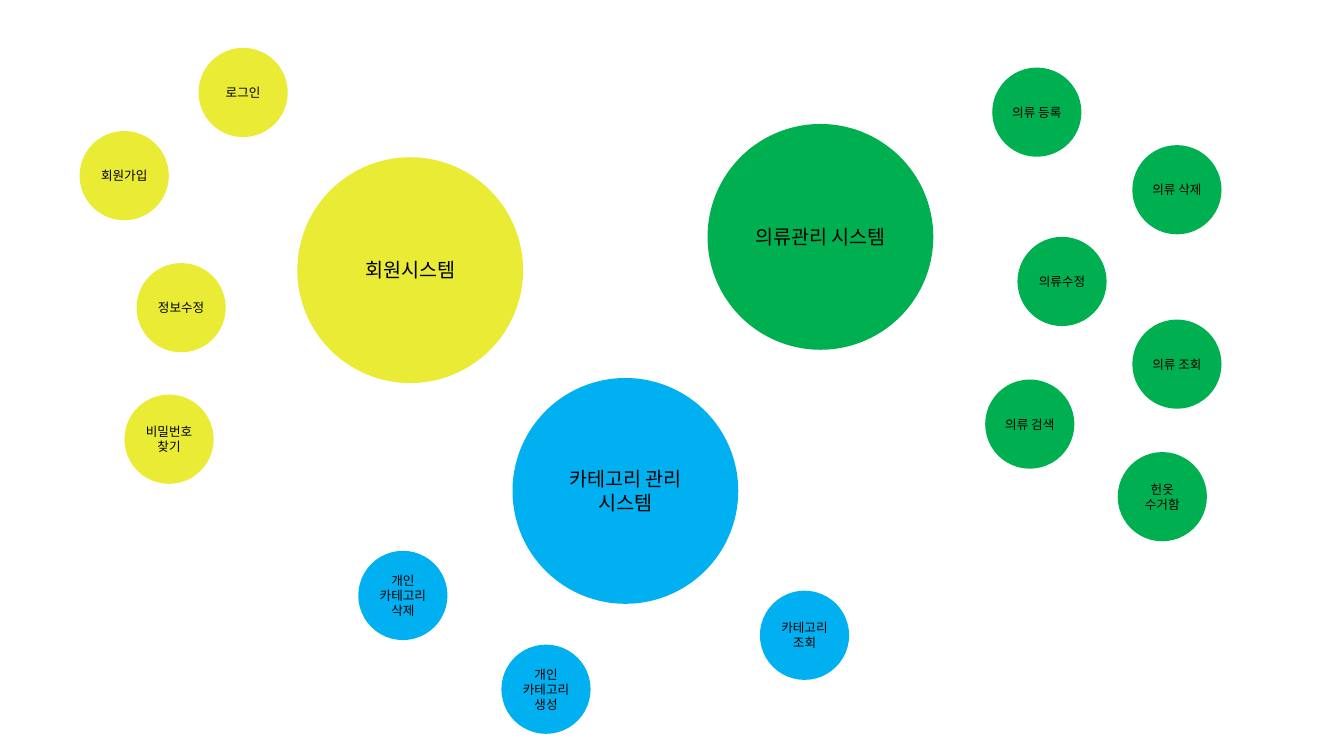
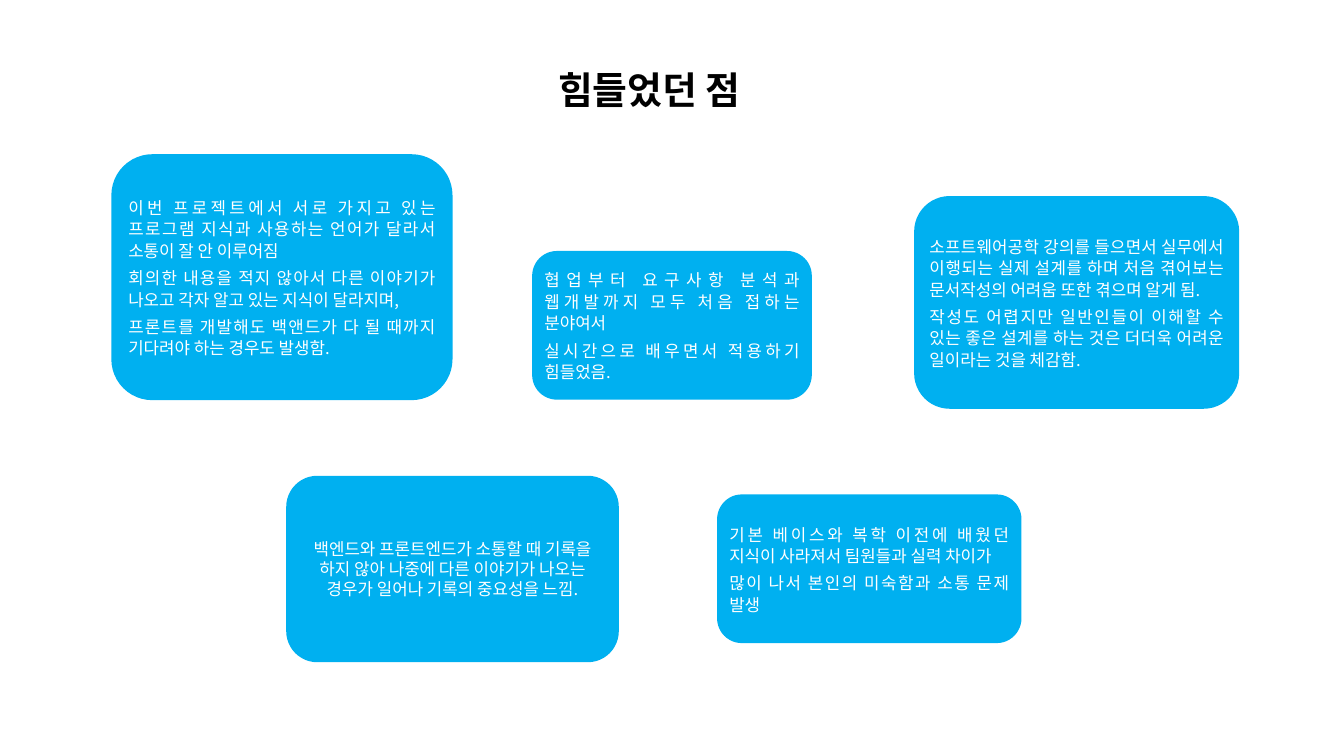
from pptx import Presentation
from pptx.dml.color import RGBColor
from pptx.enum import shapes, text
from pptx.oxml.ns import qn
from pptx.util import Inches, Pt
from lxml import etree

FONT = "Noto Sans CJK KR"
BLACK, WHITE = "000000", "FFFFFF"
YELLOW, GREEN, BLUE = "E9EB34", "00B050", "00B0F0"
SYSTEM_SIZE, FEATURE_SIZE = 4.48, 1.77  # circle diameters in inches

# Each system: colour, name, position, then its features with their positions
SYSTEMS = [
    (GREEN, "의류관리 시스템", 14.04, 2.46, [
        ("의류 등록", 19.69, 1.34),
        ("의류 삭제", 22.47, 2.88),
        ("의류수정", 20.19, 4.7),
        ("의류 조회", 22.47, 6.34),
        ("의류 검색", 19.55, 7.53),
        ("헌옷\n수거함", 22.18, 8.97),
    ]),
    (YELLOW, "회원시스템", 5.9, 3.12, [
        ("로그인", 3.94, 0.95),
        ("회원가입", 1.58, 2.6),
        ("정보수정", 2.71, 5.22),
        ("비밀번호\n찾기", 2.47, 7.83),
    ]),
    (BLUE, "카테고리 관리 시스템", 10.17, 7.5, [
        ("개인 카테고리 삭제", 7.11, 10.93),
        ("개인\n카테고리 생성", 9.95, 12.79),
        ("카테고리\n조회", 15.08, 11.72),
    ]),
]

# Each difficulty: box (left, top, width, height), paragraphs
DIFFICULTIES = [
    ((2.21, 3.06, 6.77, 4.88), [
        "이번 프로젝트에서 서로 가지고 있는 프로그램 지식과 사용하는 언어가 달라서 소통이 잘 안 이루어짐",
        "회의한 내용을 적지 않아서 다른 이야기가 나오고 각자 알고 있는 지식이 달라지며,",
        "프론트를 개발해도 백앤드가 다 될 때까지 기다려야 하는 경우도 발생함."]),
    ((10.56, 4.98, 5.55, 2.95), [
        "협업부터 요구사항 분석과 웹개발까지 모두 처음 접하는 분야여서",
        "실시간으로 배우면서 적용하기 힘들었음."]),
    ((18.14, 3.89, 6.45, 4.22), [
        "소프트웨어공학 강의를 들으면서 실무에서 이행되는 실제 설계를 하며 처음 겪어보는 문서작성의 어려움 또한 겪으며 알게 됨.",
        "작성도 어렵지만 일반인들이 이해할 수 있는 좋은 설계를 하는 것은 더더욱 어려운 일이라는 것을 체감함."]),
    ((5.68, 9.44, 6.6, 3.7), [
        "백엔드와 프론트엔드가 소통할 때 기록을 하지 않아 나중에 다른 이야기가 나오는 경우가 일어나 기록의 중요성을 느낌."]),
    ((14.23, 9.81, 6.04, 2.95), [
        "기본 베이스와 복학 이전에 배웠던 지식이 사라져서 팀원들과 실력 차이가",
        "많이 나서 본인의 미숙함과 소통 문제 발생"]),
]


def rgb(value):
    return RGBColor.from_string(value)


def write(sp, content, size, color, bold=False, justify=False):
    """Fill a shape with text; each line of content is a paragraph."""
    tf = sp.text_frame
    tf.text = content
    tf.word_wrap = True
    tf.auto_size = text.MSO_AUTO_SIZE.NONE
    tf.vertical_anchor = text.MSO_ANCHOR.MIDDLE
    for p in tf.paragraphs:
        p.alignment = text.PP_ALIGN.CENTER
        if justify:
            p.alignment = text.PP_ALIGN.JUSTIFY
            p.line_spacing = 1.07
            p.space_after = Pt(8)
        for r in p.runs:
            r.font.size = Pt(size)
            r.font.bold = bold
            r.font.color.rgb = rgb(color)
            r.font.name = FONT
            # Korean glyphs take the East Asian typeface
            ea = etree.SubElement(r.font._element, qn("a:ea"))
            ea.set("typeface", FONT)


def add_filled(s, kind, box, fill):
    sp = s.shapes.add_shape(kind, *map(Inches, box))
    sp.shadow.inherit = False
    sp.fill.solid()
    sp.fill.fore_color.rgb = rgb(fill)
    sp.line.fill.background()
    return sp


def add_circle(s, label, left, top, diameter, fill, size):
    box = (left, top, diameter, diameter)
    sp = add_filled(s, shapes.MSO_SHAPE.OVAL, box, fill)
    write(sp, label, size, BLACK)


def add_card(s, box, paragraphs):
    sp = add_filled(s, shapes.MSO_SHAPE.ROUNDED_RECTANGLE, box, BLUE)
    write(sp, "\n".join(paragraphs), 24, WHITE, justify=len(paragraphs) > 1)


def add_title(s, label, left, top, width, height):
    sp = s.shapes.title
    sp.left, sp.top = Inches(left), Inches(top)
    sp.width, sp.height = Inches(width), Inches(height)
    write(sp, label, 54, BLACK, bold=True)


def build_systems(prs):
    s = prs.slides.add_slide(prs.slide_layouts[6])
    for color, name, left, top, features in SYSTEMS:
        add_circle(s, name, left, top, SYSTEM_SIZE, color, 28)
        for label, x, y in features:
            add_circle(s, label, x, y, FEATURE_SIZE, color, 18)


def build_difficulties(prs):
    s = prs.slides.add_slide(prs.slide_layouts[5])
    add_title(s, "힘들었던 점", 7.23, 1.26, 11.31, 1.01)
    for box, paragraphs in DIFFICULTIES:
        add_card(s, box, paragraphs)


def main():
    prs = Presentation()
    prs.slide_width, prs.slide_height = Inches(26.67), Inches(15)
    build_systems(prs)
    build_difficulties(prs)
    prs.save("out.pptx")


if __name__ == "__main__":
    main()
